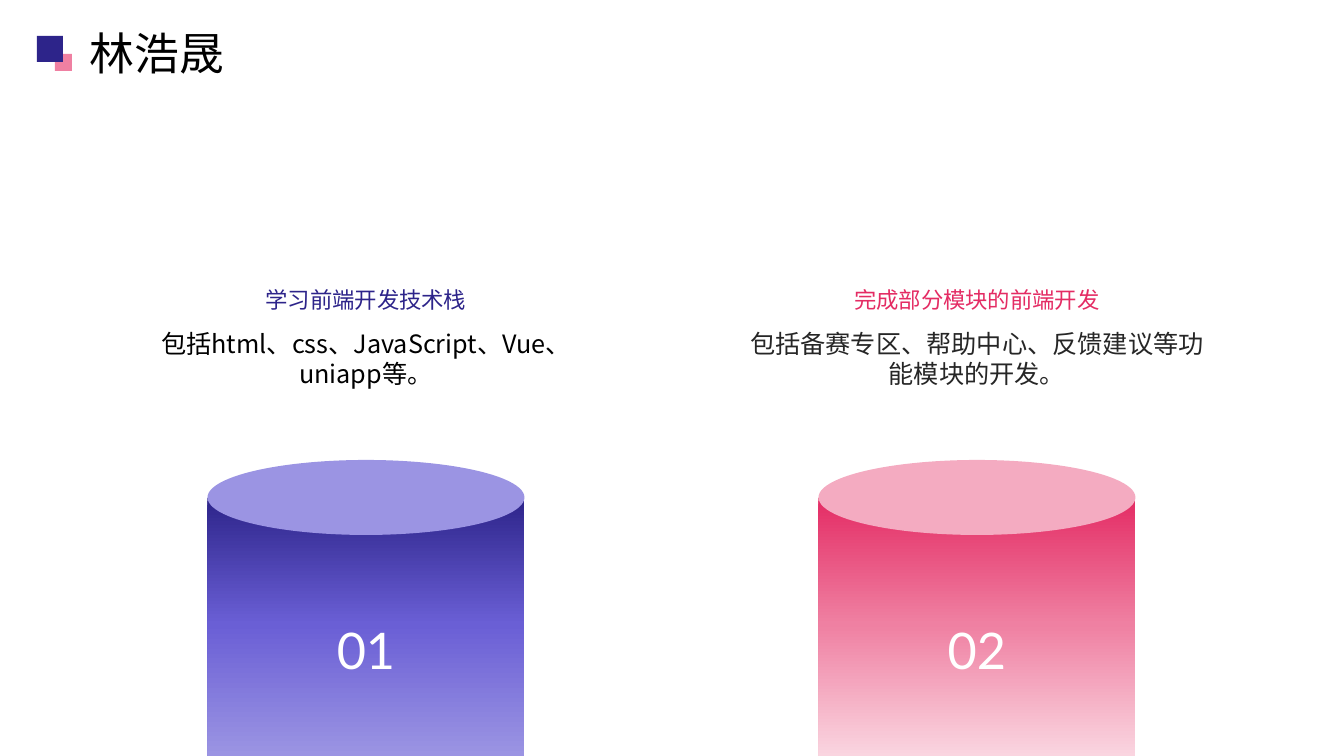
import pptx
import pptx.util
import pptx.dml.color
import pptx.enum.shapes
import pptx.enum.text
import pptx.oxml.ns
from lxml import etree

CJK = "Noto Sans CJK SC"
NAME = "林浩晟"
TASKS = [
    {
        "number": "01",
        "heading": "学习前端开发技术栈",
        "detail": "包括html、css、JavaScript、Vue、uniapp等。",
        "detail_font": CJK,
        "detail_color": "000000",
        "accent": "2D248A",
        "lid": "9B94E3",
        "body": [(0, "2D248A"), (49, "6A5FD5"), (100, "9B94E3")],
    },
    {
        "number": "02",
        "heading": "完成部分模块的前端开发",
        "detail": "包括备赛专区、帮助中心、反馈建议等功能模块的开发。",
        "detail_font": "Arial",
        "detail_color": "262626",
        "accent": "E42C64",
        "lid": "F4ABC1",
        "body": [(0, "E42C64"), (49, "EF80A2"), (100, "FAD5E0")],
    },
]
MARKS = [((55, 54, 17, 17), "EF80A2"), ((37, 36, 26, 26), "2D248A")]

EMU_PER_PX = 914400 / 100.8
SLIDE_W, SLIDE_H = 1344, 756
FIRST_CENTER, COLUMN_STEP = 366, 611
TEXT_W, CYLINDER_W, NUMBER_W = 479, 317, 135
LID_TOP, LID_H = 460, 75
BODY_TOP = 498

SHAPE = pptx.enum.shapes.MSO_SHAPE
ALIGN = pptx.enum.text.PP_ALIGN
ANCHOR = pptx.enum.text.MSO_ANCHOR
qn = pptx.oxml.ns.qn


def px(value):
    return pptx.util.Emu(round(value * EMU_PER_PX))


def rgb(value):
    return pptx.dml.color.RGBColor.from_string(value)


def add_block(slide, kind, box, color=None, stops=None):
    block = slide.shapes.add_shape(kind, *map(px, box))
    block.shadow.inherit = False
    block.line.fill.background()
    if stops:
        block.fill.gradient()
        block.fill.gradient_angle = 270
        stop_list = block._element.spPr.find(".//" + qn("a:gsLst"))
        for old in list(stop_list):
            stop_list.remove(old)
        for percent, stop_color in stops:
            stop = etree.SubElement(stop_list, qn("a:gs"), pos=str(percent * 1000))
            etree.SubElement(stop, qn("a:srgbClr"), val=stop_color)
    else:
        block.fill.solid()
        block.fill.fore_color.rgb = rgb(color)


def add_text(slide, box, text, size, font, color, align=ALIGN.CENTER):
    frame = slide.shapes.add_textbox(*map(px, box)).text_frame
    frame.word_wrap = True
    frame.text = text
    paragraph = frame.paragraphs[0]
    paragraph.alignment = align
    run = paragraph.runs[0]
    run.font.size = pptx.util.Pt(size)
    run.font.name = font
    run.font.color.rgb = rgb(color)
    east_asian = etree.SubElement(run.font._element, qn("a:ea"))
    east_asian.set("typeface", CJK)
    return frame


def add_task(slide, center, task):
    def centered(top, width, height):
        return center - width / 2, top, width, height

    add_text(slide, centered(323, TEXT_W, 138), task["detail"], 18,
             task["detail_font"], task["detail_color"]).paragraphs[0].line_spacing = pptx.util.Pt(21.6)
    add_text(slide, centered(281, TEXT_W, 40), task["heading"], 16, CJK, task["accent"])
    add_block(slide, SHAPE.RECTANGLE, centered(BODY_TOP, CYLINDER_W, SLIDE_H - BODY_TOP),
              stops=task["body"])
    add_block(slide, SHAPE.FLOWCHART_CONNECTOR, centered(LID_TOP, CYLINDER_W, LID_H), task["lid"])
    add_text(slide, centered(614, NUMBER_W, 72), task["number"], 36, "Lato", "FFFFFF")


def main():
    deck = pptx.Presentation()
    deck.slide_width, deck.slide_height = px(SLIDE_W), px(SLIDE_H)
    slide = deck.slides.add_slide(deck.slide_layouts[6])
    for index, task in enumerate(TASKS):
        add_task(slide, FIRST_CENTER + index * COLUMN_STEP, task)
    for box, color in MARKS:
        add_block(slide, SHAPE.RECTANGLE, box, color)
    title = add_text(slide, (90, 29, 1193, 47), NAME, 32, CJK, "000000", ALIGN.LEFT)
    title.vertical_anchor = ANCHOR.MIDDLE
    title.margin_left = title.margin_right = title.margin_top = title.margin_bottom = 0
    deck.save("out.pptx")


if __name__ == "__main__":
    main()
